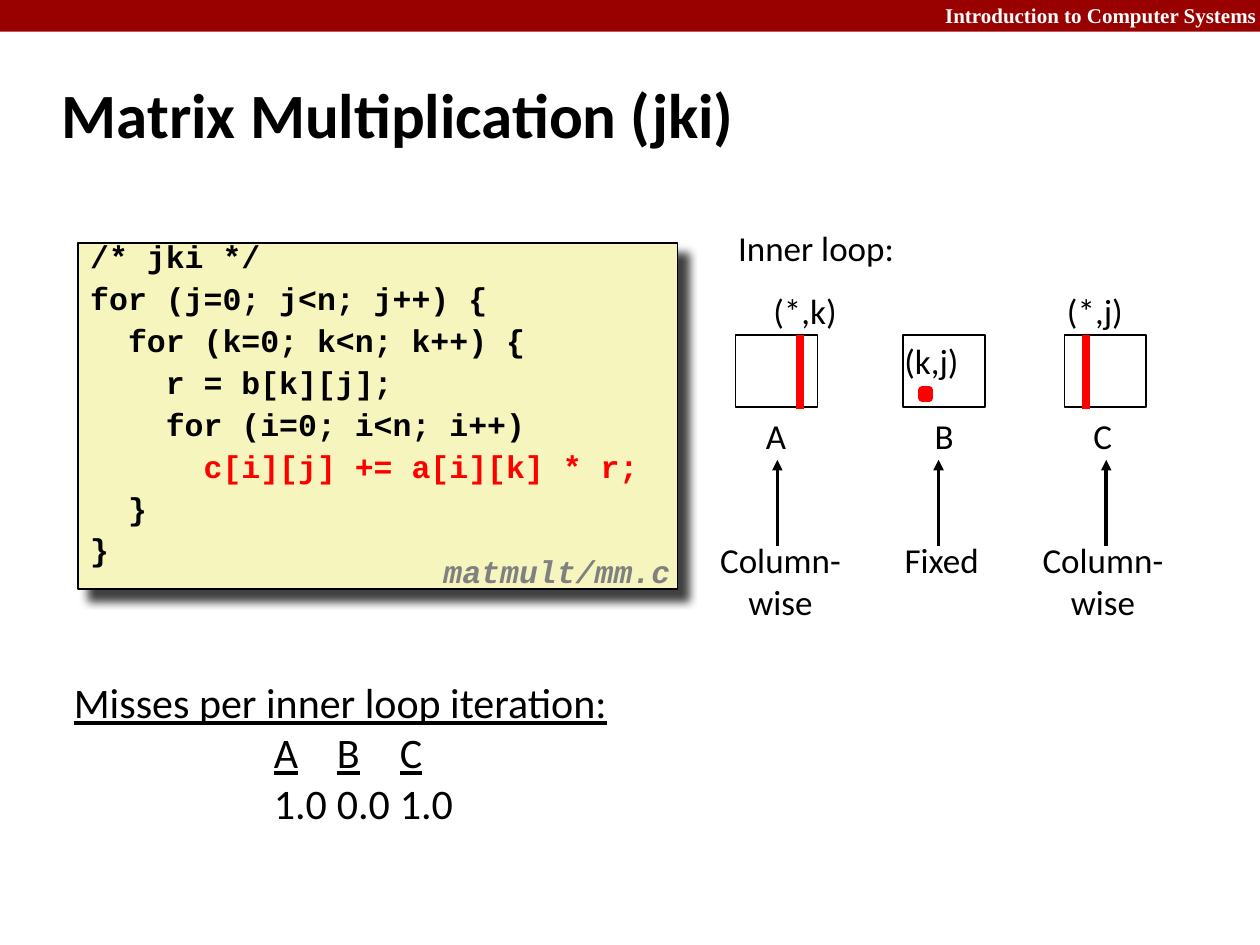
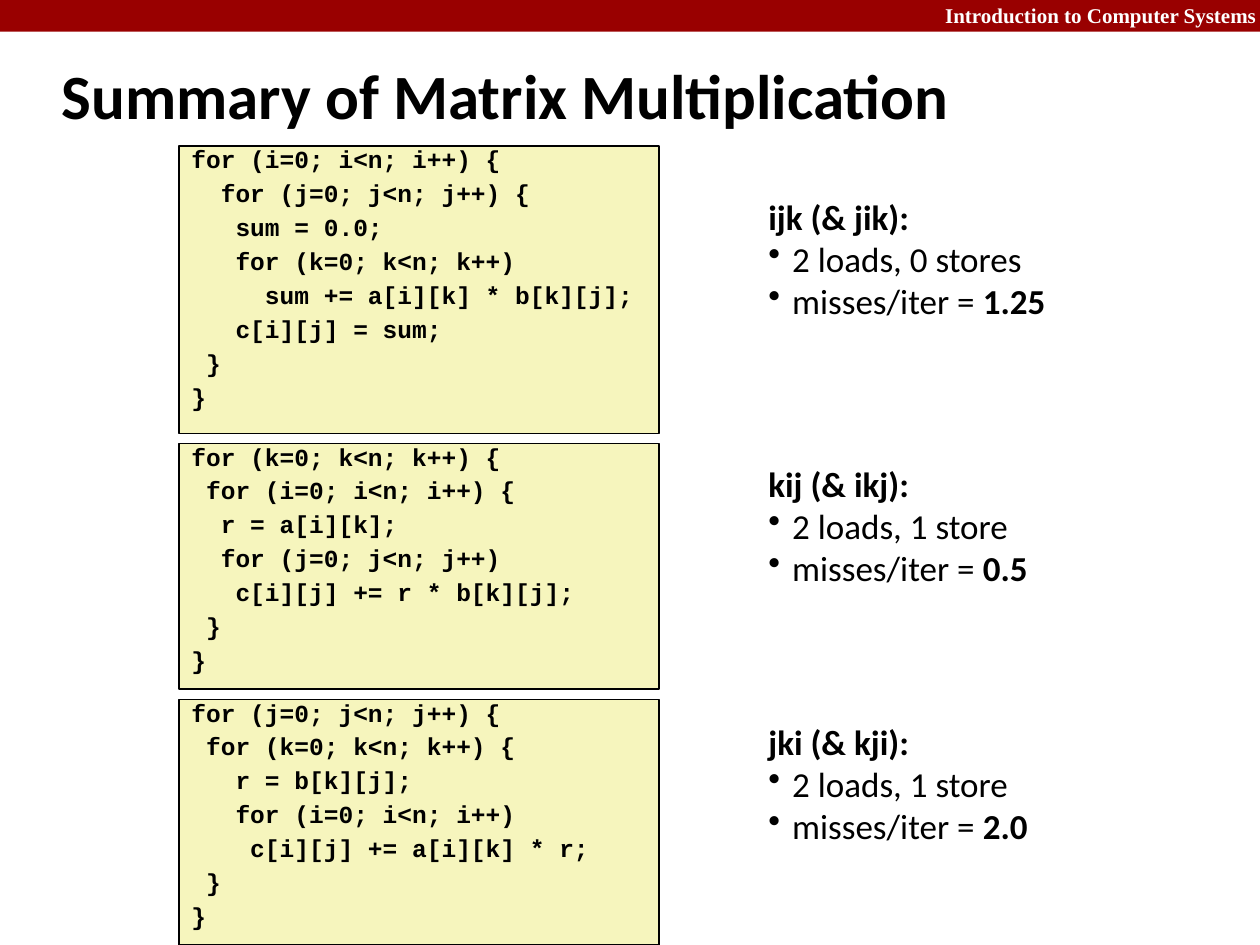
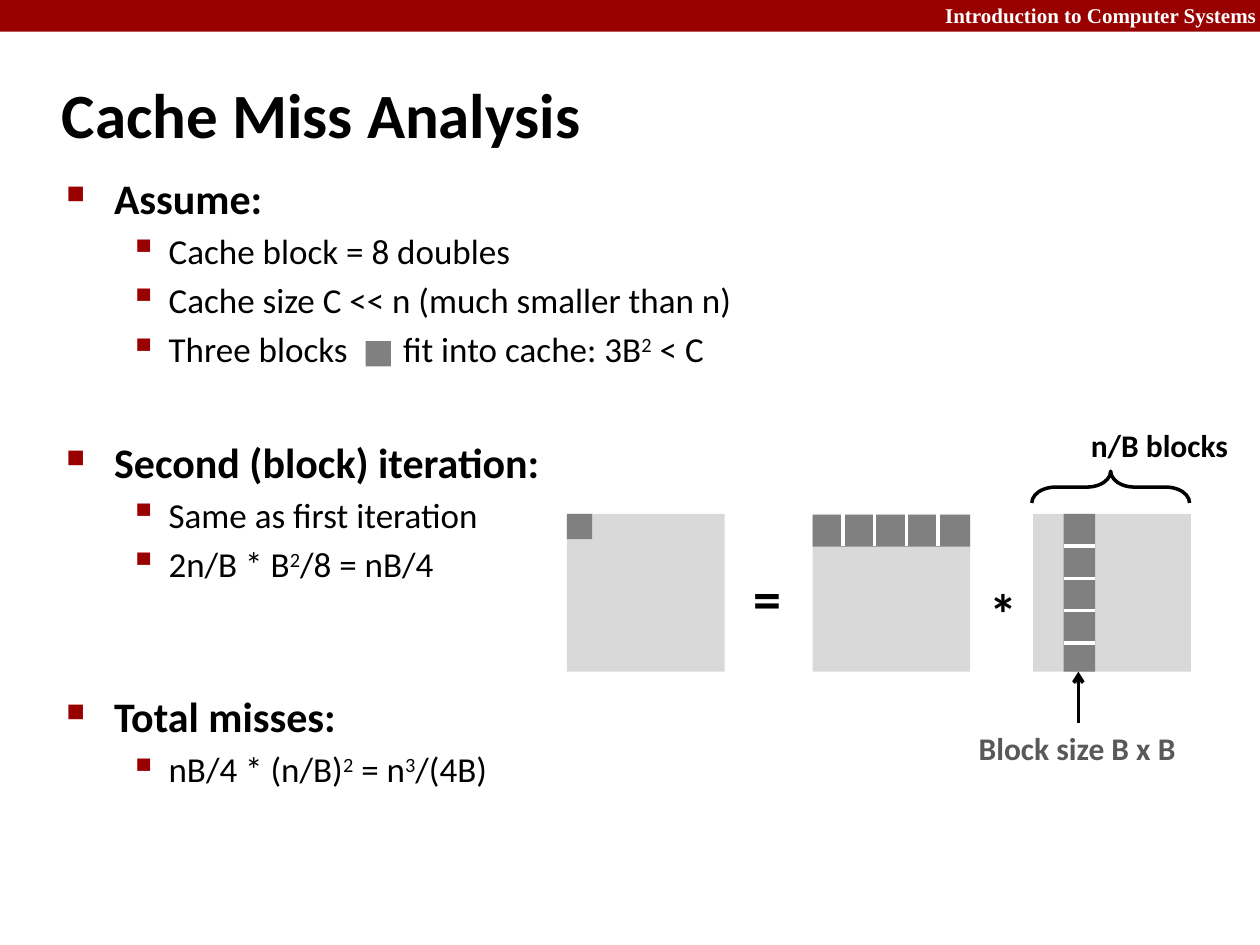
import dataclasses
import typing

import lxml.etree
import pptx
import pptx.dml.color
import pptx.enum.shapes
import pptx.enum.text
import pptx.oxml.ns
import pptx.util

Cm = pptx.util.Cm
Pt = pptx.util.Pt
RGBColor = pptx.dml.color.RGBColor
Align = pptx.enum.text.PP_ALIGN
Anchor = pptx.enum.text.MSO_ANCHOR
Preset = pptx.enum.shapes.MSO_SHAPE
qn = pptx.oxml.ns.qn

BLACK = RGBColor(0x00, 0x00, 0x00)
WHITE = RGBColor(0xFF, 0xFF, 0xFF)
RED = RGBColor(0xFF, 0x00, 0x00)
CRIMSON = RGBColor(0x99, 0x00, 0x00)
CREAM = RGBColor(0xF6, 0xF5, 0xBD)
LIGHT_GRAY = RGBColor(0xD9, 0xD9, 0xD9)
MID_GRAY = RGBColor(0x80, 0x80, 0x80)
DARK_GRAY = RGBColor(0x59, 0x59, 0x59)

BODY_FONT = "Calibri"
CODE_FONT = "Courier New"
BAND_FONT = "Times New Roman"


@dataclasses.dataclass(frozen=True)
class Box:
    left: float
    top: float
    width: float
    height: float

    def lengths(self) -> tuple:
        return Cm(self.left), Cm(self.top), Cm(self.width), Cm(self.height)


@dataclasses.dataclass(frozen=True)
class Span:
    text: str
    bold: bool | None = None
    color: RGBColor | None = None
    underline: bool = False
    raised: bool = False
    tracking: float = 0


@dataclasses.dataclass(frozen=True)
class Bullet:
    character: str
    percent: int = 100
    color: RGBColor = BLACK


@dataclasses.dataclass(frozen=True)
class Matrix:
    name: str
    left: float
    name_left: float
    index: str
    index_box: Box
    access: tuple
    access_box: Box
    arrow_x: float


@dataclasses.dataclass(frozen=True)
class Variant:
    code: str
    code_top: float
    code_height: float
    note_top: float
    order: str
    memory: str
    misses: str


@dataclasses.dataclass(frozen=True)
class Topic:
    heading: str
    points: tuple
    gap: float


SQUARE_BULLET = Bullet("■", 60, CRIMSON)
SMALL_BULLET = Bullet("▪", 110, CRIMSON)
DOT_BULLET = Bullet("•")


def add_child(parent: typing.Any, tag: str, **attributes: typing.Any) -> typing.Any:
    child = lxml.etree.SubElement(parent, qn(tag))
    for name, value in attributes.items():
        child.set(name, str(value))
    return child


def add_bullet(para: typing.Any, bullet: Bullet) -> None:
    properties = para._p.get_or_add_pPr()
    add_child(add_child(properties, "a:buClr"), "a:srgbClr", val=bullet.color)
    add_child(properties, "a:buSzPct", val=bullet.percent * 1000)
    add_child(properties, "a:buChar", char=bullet.character)


def write(frame: typing.Any, *spans: str | Span, size: float, font: str = BODY_FONT,
          color: RGBColor = BLACK, bold: bool = False, italic: bool = False,
          align: Align = Align.LEFT, line_spacing: float | None = None,
          space_before: float = 0, margin: float = 0, hanging: float = 0,
          bullet: Bullet | None = None) -> None:
    first = not frame.paragraphs[0].runs
    para = frame.paragraphs[0] if first else frame.add_paragraph()
    para.alignment = align
    para.space_before = Pt(0 if first else space_before)
    if line_spacing:
        para.line_spacing = line_spacing
    if margin:
        properties = para._p.get_or_add_pPr()
        properties.set("marL", str(Cm(margin)))
        properties.set("indent", str(-Cm(hanging)))
    if bullet:
        add_bullet(para, bullet)
    for item in spans:
        span = Span(item) if isinstance(item, str) else item
        run = para.add_run()
        run.text = span.text
        run.font.name = font
        run.font.size = Pt(size)
        run.font.bold = bold if span.bold is None else span.bold
        run.font.italic = italic
        run.font.underline = span.underline
        run.font.color.rgb = span.color or color
        if span.raised:
            run._r.get_or_add_rPr().set("baseline", "30000")
        if span.tracking:
            run._r.get_or_add_rPr().set("spc", str(round(span.tracking * 100)))


def add_text_frame(page: typing.Any, box: Box, wrap: bool = False) -> typing.Any:
    frame = page.shapes.add_textbox(*box.lengths()).text_frame
    frame.word_wrap = wrap
    return frame


def add_label(page: typing.Any, box: Box, *lines: str, **text_format: typing.Any) -> None:
    frame = add_text_frame(page, box)
    for line in lines:
        write(frame, line, **text_format)


def add_block(page: typing.Any, box: Box, fill: RGBColor | None = None,
              line: RGBColor | None = None, weight: float = 1,
              preset: Preset = Preset.RECTANGLE) -> typing.Any:
    shape = page.shapes.add_shape(preset, *box.lengths())
    shape.shadow.inherit = False
    if fill is None:
        shape.fill.background()
    else:
        shape.fill.solid()
        shape.fill.fore_color.rgb = fill
    if line is None:
        shape.line.fill.background()
    else:
        shape.line.color.rgb = line
        shape.line.width = Pt(weight)
    return shape


def add_line(page: typing.Any, start: tuple, end: tuple, color: RGBColor = BLACK,
             weight: float = 2, arrow: str | None = None) -> None:
    line = page.shapes.add_connector(
        pptx.enum.shapes.MSO_CONNECTOR.STRAIGHT, *(Cm(value) for value in start + end))
    line.line.color.rgb = color
    line.line.width = Pt(weight)
    if arrow:
        add_child(line.line._get_or_add_ln(), "a:tailEnd", type=arrow)
    add_child(line._element.spPr, "a:effectLst")


def add_code(page: typing.Any, box: Box, code: str, size: float, line_spacing: float,
             space_before: float, highlight: str = "") -> typing.Any:
    panel = add_block(page, box, CREAM, BLACK)
    frame = panel.text_frame
    frame.word_wrap = True
    frame.vertical_anchor = Anchor.TOP
    for line in code.strip("\n").split("\n"):
        color = RED if highlight and highlight in line else BLACK
        write(frame, line, size=size, font=CODE_FONT, bold=True, color=color,
              line_spacing=line_spacing, space_before=space_before)
    return panel


def cast_shadow(shape: typing.Any) -> None:
    effects = shape._element.spPr.find(qn("a:effectLst"))
    shadow = add_child(effects, "a:outerShdw", blurRad=Pt(5), dist=Pt(8.5),
                       dir=45 * 60000, algn="tl", rotWithShape=0)
    add_child(add_child(shadow, "a:srgbClr", val=BLACK), "a:alpha", val=75000)


def add_page(deck: typing.Any, title: str, title_top: float = 1.22) -> typing.Any:
    page = deck.slides.add_slide(deck.slide_layouts.get_by_name("Title Only"))
    add_block(page, Box(0, 0, 25.4, 0.64), CRIMSON)
    banner = add_text_frame(page, Box(15.24, -0.08, 10.34, 0.76), wrap=True)
    write(banner, "Introduction to Computer Systems", size=12, font=BAND_FONT,
          color=WHITE, bold=True, align=Align.RIGHT)
    heading = page.shapes.title
    heading.left, heading.top, heading.width, heading.height = Box(
        0.99, title_top, 21.08, 2.11).lengths()
    frame = heading.text_frame
    frame.auto_size = pptx.enum.text.MSO_AUTO_SIZE.NONE
    frame.vertical_anchor = Anchor.MIDDLE
    write(frame, title, size=36, bold=True)
    return page


JKI_CODE = """
/* jki */
for (j=0; j<n; j++) {
  for (k=0; k<n; k++) {
    r = b[k][j];
    for (i=0; i<n; i++)
      c[i][j] += a[i][k] * r;
  }
}
"""

MATRICES = (
    Matrix("A", 14.83, 15.19, "(*,k)", Box(15.34, 5.72, 1.8, 1.09),
           ("Column-", "wise"), Box(14.25, 10.74, 2.97, 1.96), 15.67),
    Matrix("B", 18.21, 18.59, "(k,j)", Box(17.98, 6.71, 1.6, 1.09),
           ("Fixed",), Box(17.98, 10.74, 2.01, 1.09), 18.92),
    Matrix("C", 21.46, 21.79, "(*,j)", Box(21.26, 5.72, 1.65, 1.09),
           ("Column-", "wise"), Box(20.75, 10.74, 2.97, 1.96), 22.3),
)


def build_jki(deck: typing.Any) -> None:
    page = add_page(deck, "Matrix Multiplication (jki)")
    cast_shadow(add_code(page, Box(1.57, 4.9, 12.09, 6.98), JKI_CODE, 18, 0.65, 9.9,
                         highlight="c[i][j]"))
    add_label(page, Box(8.69, 11.07, 5.28, 0.99), "matmult/mm.c", size=18,
              font=CODE_FONT, color=MID_GRAY, bold=True, italic=True, line_spacing=0.94)

    add_label(page, Box(14.63, 4.45, 3.68, 1.09), "Inner loop:", size=20)
    for matrix in MATRICES:
        add_block(page, Box(matrix.left, 6.76, 1.65, 1.45), WHITE, BLACK)
        add_label(page, Box(matrix.name_left, 8.23, 0.9, 1.09), matrix.name, size=20)
        add_label(page, matrix.index_box, matrix.index, size=20)
        add_label(page, matrix.access_box, *matrix.access, size=20, align=Align.CENTER)
        add_line(page, (matrix.arrow_x, 11), (matrix.arrow_x, 9.27), arrow="triangle")
    for column_x in (16.13, 21.89):
        add_line(page, (column_x, 8.24), (column_x, 6.75), RED, 4.5)
    add_block(page, Box(18.59, 7.87, 0.15, 0.15), RED, RED, 4.5)

    misses = add_text_frame(page, Box(1.24, 13.51, 15.27, 3.4), wrap=True)
    write(misses, Span("Misses per inner loop iteration:", underline=True), size=24)
    names = [Span(matrix.name, underline=True) for matrix in MATRICES]
    write(misses, names[0], "\t", names[1], "\t", names[2], size=24, margin=4.03)
    write(misses, "1.0\t0.0\t1.0", size=24, margin=4.03)


VARIANTS = (
    Variant("""
for (i=0; i<n; i++) {
  for (j=0; j<n; j++) {
   sum = 0.0;
   for (k=0; k<n; k++)
     sum += a[i][k] * b[k][j];
   c[i][j] = sum;
 }
}
""", 2.95, 5.79, 3.81, "ijk (& jik):", "2 loads, 0 stores", "1.25"),
    Variant("""
for (k=0; k<n; k++) {
 for (i=0; i<n; i++) {
  r = a[i][k];
  for (j=0; j<n; j++)
   c[i][j] += r * b[k][j];
 }
}
""", 8.94, 4.95, 9.19, "kij (& ikj):", "2 loads, 1 store", "0.5"),
    Variant("""
for (j=0; j<n; j++) {
 for (k=0; k<n; k++) {
   r = b[k][j];
   for (i=0; i<n; i++)
    c[i][j] += a[i][k] * r;
 }
}
""", 14.1, 4.95, 14.4, "jki (& kji):", "2 loads, 1 store", "2.0"),
)


def build_summary(deck: typing.Any) -> None:
    page = add_page(deck, "Summary of Matrix Multiplication", title_top=0.84)
    for variant in VARIANTS:
        add_code(page, Box(3.61, variant.code_top, 9.68, variant.code_height),
                 variant.code, 14, 0.7, 7.6)
        note = add_text_frame(page, Box(15.24, variant.note_top, 6.4, 2.82), wrap=True)
        write(note, variant.order, size=20, bold=True)
        for spans in ((variant.memory,),
                      ("misses/iter = ", Span(variant.misses, bold=True))):
            write(note, *spans, size=20, margin=0.48, hanging=0.48, bullet=DOT_BULLET)


SQUARED = Span("2", raised=True)
CUBED = Span("3", raised=True)

TOPICS = (
    Topic("Assume:", (
        ("Cache block = 8 doubles",),
        ("Cache size C << n (much smaller than n)",),
        ("Three blocks", Span(" ", tracking=27), "fit into cache: 3B", SQUARED, " < C"),
    ), 0),
    Topic("Second (block) iteration:", (
        ("Same as first iteration",),
        ("2n/B * B", SQUARED, "/8 = nB/4"),
    ), 38),
    Topic("Total misses:", (
        ("nB/4 * (n/B)", SQUARED, " = n", CUBED, "/(4B)"),
    ), 60.5),
)

GRID_TOP = 10.36
GRID_SIDE = 3.18
RESULT_LEFT, ROW_LEFT, COLUMN_LEFT = 11.43, 16.38, 20.83
STRIP = 0.64
STRIP_LEFT = 21.44
CELL = 0.51


def build_cache_misses(deck: typing.Any) -> None:
    page = add_page(deck, "Cache Miss Analysis")
    body = add_text_frame(page, Box(1.09, 3.35, 21.95, 14.83), wrap=True)
    for topic in TOPICS:
        write(body, topic.heading, size=24, bold=True, space_before=topic.gap,
              margin=0.96, hanging=0.96, bullet=SQUARE_BULLET)
        for point in topic.points:
            write(body, *point, size=20, space_before=4, margin=2.06, hanging=0.79,
                  bullet=SMALL_BULLET)
    add_block(page, Box(7.37, 6.88, CELL, CELL), MID_GRAY)

    for left in (RESULT_LEFT, ROW_LEFT, COLUMN_LEFT):
        add_block(page, Box(left, GRID_TOP, GRID_SIDE, GRID_SIDE), LIGHT_GRAY)
    for sign, left, top in (("=", 14.94, 11.23), ("*", 19.69, 11.53)):
        add_label(page, Box(left, top, 1.09, 1.63), sign, size=32, bold=True)
    add_block(page, Box(RESULT_LEFT, GRID_TOP, CELL, CELL), MID_GRAY)
    add_block(page, Box(ROW_LEFT, GRID_TOP + 0.02, GRID_SIDE, STRIP), MID_GRAY)
    add_block(page, Box(STRIP_LEFT, GRID_TOP, STRIP, GRID_SIDE), MID_GRAY)
    for step in range(4):
        x = ROW_LEFT + 0.61 + step * 0.64
        y = GRID_TOP + 0.65 + step * 0.65
        add_line(page, (x, GRID_TOP), (x, GRID_TOP + STRIP), WHITE)
        add_line(page, (STRIP_LEFT + STRIP, y), (STRIP_LEFT, y), WHITE)

    add_label(page, Box(19.48, 14.58, 4.52, 1.02), "Block size B x B", size=18,
              color=DARK_GRAY, bold=True)
    add_line(page, (21.74, 14.58), (21.74, 13.54), arrow="arrow")
    brace = add_block(page, Box(22.07, 8.23, STRIP, GRID_SIDE), line=BLACK, weight=2,
                      preset=Preset.LEFT_BRACE)
    brace.rotation = 90
    brace.adjustments[0] = 0.75
    brace.adjustments[1] = 0.5
    add_label(page, Box(21.74, 8.46, 3.3, 1.02), "n/B blocks", size=18, bold=True)


def main() -> None:
    deck = pptx.Presentation()
    deck.slide_width, deck.slide_height = Cm(25.4), Cm(19.05)
    for build in (build_jki, build_summary, build_cache_misses):
        build(deck)
    deck.save("out.pptx")


if __name__ == "__main__":
    main()
